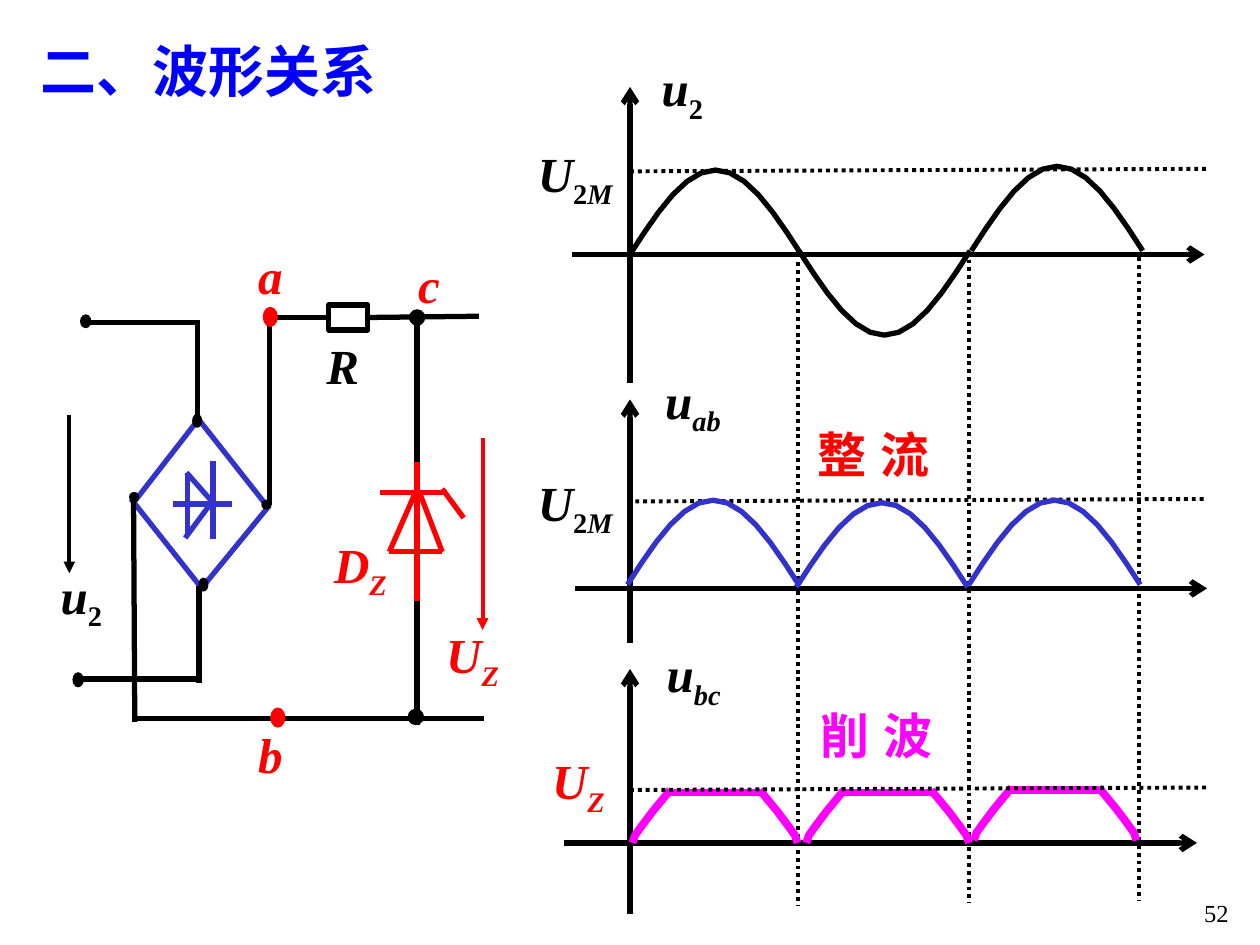
import itertools
import math
from dataclasses import dataclass

import pptx
import pptx.dml.color
import pptx.enum.dml
import pptx.enum.shapes
import pptx.enum.text
import pptx.oxml
import pptx.oxml.ns
import pptx.util
from pptx.util import Inches


@dataclass(frozen=True)
class Theme:
    font: str = "Times New Roman"
    black: str = "000000"
    red: str = "FF0000"
    blue: str = "0000FF"
    indigo: str = "3333CC"
    magenta: str = "FF00FF"
    title_size: int = 32
    label_size: int = 28
    number_size: int = 14
    wire: float = 3
    thin: float = 2.25
    clip: float = 4.5


THEME = Theme()
ALIGN = pptx.enum.text.PP_ALIGN
SHAPE = pptx.enum.shapes.MSO_SHAPE


def rgb(color):
    return pptx.dml.color.RGBColor.from_string(color)


def set_stroke(line, color, width):
    line.color.rgb = rgb(color)
    line.width = pptx.util.Pt(width)


def add_text(slide, text, box, sub="", color=THEME.black, size=THEME.label_size,
             bold=True, italic=False, align=ALIGN.CENTER, wrap=False,
             anchor=pptx.enum.text.MSO_ANCHOR.MIDDLE, indent=None, tab=None):
    """Text with an optional subscript, whose digits stay upright."""
    frame = slide.shapes.add_textbox(*map(Inches, box)).text_frame
    frame.word_wrap = wrap
    frame.vertical_anchor = anchor
    paragraph = frame.paragraphs[0]
    paragraph.alignment = align
    if tab is not None:
        properties = paragraph._p.get_or_add_pPr()
        properties.set("marL", str(Inches(indent)))
        properties.set("indent", "0")
        stops = pptx.oxml.parse_xml(
            f'<a:tabLst {pptx.oxml.ns.nsdecls("a")}>'
            f'<a:tab pos="{Inches(tab)}" algn="l"/></a:tabLst>')
        properties.append(stops)
    parts = [(text, italic, False)]
    for is_digit, letters in itertools.groupby(sub, str.isdigit):
        parts.append(("".join(letters), not is_digit, True))
    for part, slanted, lowered in parts:
        run = paragraph.add_run()
        run.text = part
        run.font.name = THEME.font
        run.font.size = pptx.util.Pt(size)
        run.font.bold = bold
        run.font.italic = slanted
        run.font.color.rgb = rgb(color)
        if lowered:
            run._r.get_or_add_rPr().set("baseline", "-25000")


def add_line(slide, x1, y1, x2, y2, color=THEME.black, width=THEME.wire,
             dotted=False, arrow=None):
    line = slide.shapes.add_connector(
        pptx.enum.shapes.MSO_CONNECTOR.STRAIGHT, *map(Inches, (x1, y1, x2, y2)))
    set_stroke(line.line, color, width)
    if dotted:
        line.line.dash_style = pptx.enum.dml.MSO_LINE.ROUND_DOT
    properties = line._element.spPr
    if arrow:
        properties.find(pptx.oxml.ns.qn("a:ln")).append(pptx.oxml.parse_xml(
            f'<a:tailEnd {pptx.oxml.ns.nsdecls("a")} type="{arrow}"/>'))
    properties.append(pptx.oxml.parse_xml(
        f'<a:effectLst {pptx.oxml.ns.nsdecls("a")}/>'))
    return line


def add_curve(slide, points, color, width=THEME.wire):
    start, *rest = [(Inches(x), Inches(y)) for x, y in points]
    builder = slide.shapes.build_freeform(*start)
    builder.add_line_segments(rest, close=False)
    curve = builder.convert_to_shape()
    curve.shadow.inherit = False
    curve.fill.background()
    set_stroke(curve.line, color, width)


def add_half_wave(slide, left, base, color, height=0.67, steps=12):
    """Half a sine period; a negative height swings below the base."""
    add_curve(slide, [(left + 1.36 * i / steps,
                       base - height * math.sin(math.pi * i / steps))
                      for i in range(steps + 1)], color)


def add_clipped_wave(slide, left, right, top):
    flank = ((0, 0.42), (0.02, 0.36), (0.07, 0.29), (0.16, 0.17), (0.3, 0))
    add_line(slide, left + 0.26, top + 0.02, right - 0.3, top + 0.02,
             THEME.magenta, THEME.clip)
    for foot, direction in ((right, -1), (left, 1)):
        add_curve(slide, [(foot + direction * x, top + y) for x, y in flank],
                  THEME.magenta, THEME.clip)


def add_dot(slide, left, top, width, height, color=THEME.black):
    dot = slide.shapes.add_shape(
        SHAPE.OVAL, *map(Inches, (left, top, width, height)))
    dot.shadow.inherit = False
    dot.fill.solid()
    dot.fill.fore_color.rgb = rgb(color)
    set_stroke(dot.line, color, 0.75)


def add_axes(slide, left, base, top, bottom):
    add_line(slide, 5, bottom, 5, top, arrow="arrow")
    add_line(slide, left, base, left + 5.02, base, arrow="arrow")


def add_level(slide, left, y):
    add_line(slide, left, y, left + 4.6, y - 0.02, width=THEME.thin, dotted=True)


def add_stage(slide, text, box, color):
    add_text(slide, text, box, color=color, align=ALIGN.LEFT, indent=0.42, tab=1.53)


def draw_waveforms(slide):
    for i, x in enumerate((6.33, 7.69, 9.04)):
        y = 2.08 - 0.02 * i
        add_line(slide, x, y, x, y + 5.11, width=THEME.thin, dotted=True)

    add_half_wave(slide, 5, 2.02, THEME.black)
    add_half_wave(slide, 6.34, 1.99, THEME.black, height=-0.67)
    add_half_wave(slide, 7.71, 1.99, THEME.black)
    add_axes(slide, 4.54, 2.02, 0.69, 3.04)
    add_text(slide, "u", (5.15, 0.41, 0.53, 0.63), "2", italic=True)
    add_level(slide, 5, 1.36)

    add_axes(slide, 4.56, 4.67, 3.17, 5.1)
    add_text(slide, "u", (5.18, 2.89, 0.64, 0.63), "ab", italic=True)
    for top in (1.09, 3.7):
        add_text(slide, "U", (4.17, top, 0.79, 0.63), "2M", italic=True)
    add_level(slide, 4.98, 3.98)

    add_text(slide, "u", (5.19, 5.06, 0.63, 0.63), "bc", italic=True)
    add_axes(slide, 4.48, 6.69, 5.31, 7.25)
    for left, right, top in ((5.02, 6.33, 6.27), (6.4, 7.69, 6.27),
                             (7.73, 9.02, 6.25)):
        add_clipped_wave(slide, left, right, top)
    add_stage(slide, "削\t波", (5.99, 5.55, 2.53, 0.57), THEME.magenta)

    add_stage(slide, "整\t流", (5.97, 3.32, 2.53, 0.57), THEME.red)
    for left, base in ((6.32, 4.66), (7.69, 4.64), (4.98, 4.64)):
        add_half_wave(slide, left, base, THEME.indigo)
    add_level(slide, 5, 6.27)
    add_text(slide, "U", (4.28, 5.91, 0.62, 0.63), "Z", THEME.red, italic=True)


def draw_circuit(slide):
    bridge = ((1.04, 3.96, 1.61, 4.68), (1.57, 3.32, 2.13, 4.03),
              (1.59, 4.68, 2.14, 4.01), (1.06, 3.99, 1.55, 3.36))
    bridge_diode = ((1.69, 3.66, 1.69, 4.28), (1.7, 4, 1.48, 3.75),
                    (1.49, 3.75, 1.49, 4.24), (1.84, 4, 1.37, 4),
                    (1.67, 4, 1.47, 4.27))
    wires = ((1.58, 2.56, 0.7, 2.56), (1.6, 5.39, 0.61, 5.39),
             (3.31, 2.52, 3.31, 5.75), (2.14, 2.49, 2.14, 4.01),
             (1.06, 3.97, 1.07, 5.73), (1.58, 4.65, 1.58, 5.42),
             (1.09, 5.7, 3.84, 5.7), (1.57, 2.54, 1.57, 3.32))
    zener = ((3.02, 3.91, 3.55, 3.91), (3.31, 3.88, 3.09, 4.38),
             (3.09, 4.38, 3.51, 4.38), (3.33, 3.91, 3.51, 4.38),
             (3.51, 3.88, 3.68, 4.11), (3.31, 3.67, 3.31, 4.77))
    for ends, color in ((bridge + bridge_diode, THEME.indigo),
                        (wires, THEME.black), (zener, THEME.red)):
        for end in ends:
            add_line(slide, *end, color=color)

    resistor = slide.shapes.add_shape(
        SHAPE.RECTANGLE, *map(Inches, (2.61, 2.42, 0.31, 0.2)))
    resistor.shadow.inherit = False
    resistor.fill.background()
    set_stroke(resistor.line, THEME.black, THEME.wire)
    add_line(slide, 2.61, 2.52, 2.13, 2.52).begin_connect(resistor, 1)
    add_line(slide, 3.8, 2.51, 2.92, 2.52).end_connect(resistor, 3)

    for dot in ((2.08, 3.97, 0.07, 0.07), (1.03, 3.91, 0.07, 0.07),
                (1.58, 4.59, 0.07, 0.1), (1.53, 3.29, 0.07, 0.1),
                (0.64, 2.5, 0.08, 0.1), (0.58, 5.34, 0.08, 0.11),
                (3.24, 5.63, 0.12, 0.12), (3.25, 2.46, 0.12, 0.12)):
        add_dot(slide, *dot)
    for left, top in ((2.09, 2.44), (2.15, 5.62)):
        add_dot(slide, left, top, 0.11, 0.15, THEME.red)

    add_line(slide, 0.55, 3.29, 0.55, 4.55, width=THEME.thin, arrow="triangle")
    add_line(slide, 3.83, 3.48, 3.83, 5, THEME.red, THEME.thin, arrow="triangle")
    for name, sub, box, color in (
            ("a", "", (1.95, 1.9, 0.39, 0.57), THEME.red),
            ("u", "2", (0.38, 4.44, 0.53, 0.63), THEME.black),
            ("R", "", (2.49, 2.61, 0.46, 0.57), THEME.black),
            ("b", "", (1.95, 5.7, 0.39, 0.57), THEME.red),
            ("c", "", (3.22, 1.97, 0.37, 0.57), THEME.red),
            ("D", "Z", (2.55, 4.19, 0.62, 0.63), THEME.red),
            ("U", "Z", (3.44, 4.91, 0.62, 0.63), THEME.red)):
        add_text(slide, name, box, sub, color, italic=True)


def main():
    deck = pptx.Presentation()
    deck.slide_width, deck.slide_height = Inches(10), Inches(7.5)
    slide = deck.slides.add_slide(deck.slide_layouts[6])
    add_text(slide, "二、波形关系", (0.22, 0.24, 2.87, 0.64), color=THEME.blue,
             size=THEME.title_size, align=ALIGN.LEFT)
    draw_waveforms(slide)
    draw_circuit(slide)
    add_text(slide, "52", (7.77, 7.08, 2.08, 0.42), size=THEME.number_size,
             bold=False, align=ALIGN.RIGHT, wrap=True,
             anchor=pptx.enum.text.MSO_ANCHOR.TOP)
    deck.save("out.pptx")


if __name__ == "__main__":
    main()
